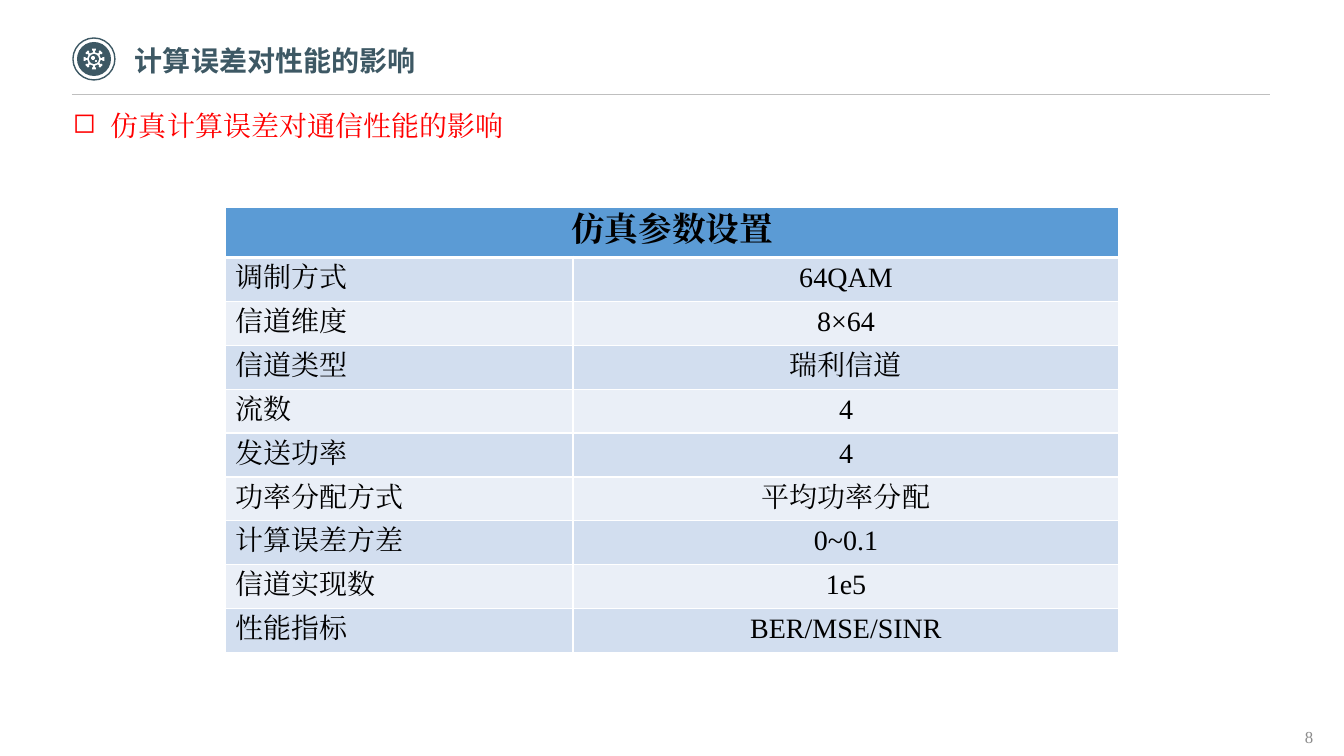
import math

import lxml.etree
import pptx
import pptx.dml.color
import pptx.enum.shapes
import pptx.enum.text
import pptx.oxml.ns
import pptx.util

RGB = pptx.dml.color.RGBColor
SLATE = RGB(0x3D, 0x58, 0x64)
WHITE = RGB(0xFF, 0xFF, 0xFF)
BLACK = RGB(0, 0, 0)
RED = RGB(0xFF, 0, 0)
RULE_GREY = RGB(0xBF, 0xBF, 0xBF)
NUMBER_GREY = RGB(0x8C, 0x8C, 0x8C)
HEADER_BLUE = RGB(0x5B, 0x9B, 0xD5)
BANDS = (RGB(0xD2, 0xDE, 0xEF), RGB(0xEA, 0xEF, 0xF7))

ALIGN = pptx.enum.text.PP_ALIGN
ANCHOR = pptx.enum.text.MSO_ANCHOR
OVAL = pptx.enum.shapes.MSO_SHAPE.OVAL
STRAIGHT = pptx.enum.shapes.MSO_CONNECTOR.STRAIGHT
SERIF = "Times New Roman"
SANS = "Noto Sans CJK SC"
SCALE = 12192000 / 1344

PARAMETERS = [
    ("调制方式", "64QAM"),
    ("信道维度", "8×64"),
    ("信道类型", "瑞利信道"),
    ("流数", "4"),
    ("发送功率", "4"),
    ("功率分配方式", "平均功率分配"),
    ("计算误差方差", "0~0.1"),
    ("信道实现数", "1e5"),
    ("性能指标", "BER/MSE/SINR"),
]
TOOTH = [(-8, 68), (-7, 85), (-12, 87), (-11, 105),
         (11, 105), (12, 87), (7, 85), (8, 68)]


def px(length):
    return pptx.util.Emu(round(length * SCALE))


def add_element(parent, tag, **attributes):
    return lxml.etree.SubElement(parent, pptx.oxml.ns.qn(tag), attributes)


class SlideBuilder:
    def __init__(self, slide):
        self.slide = slide

    def wording(self, paragraph, content, size, color, align=ALIGN.LEFT, bold=False, face=SERIF):
        paragraph.alignment = align
        run = paragraph.add_run()
        run.text = content
        formats = {"size": pptx.util.Pt(size), "bold": bold, "name": face}
        for name, value in formats.items():
            setattr(run.font, name, value)
        run.font.color.rgb = color
        add_element(run.font._element, "a:ea", typeface=face)

    def text(self, box, content, size, color, insets, anchor=ANCHOR.TOP,
             bullet=None, spacing=None, **style):
        frame = self.slide.shapes.add_textbox(*map(px, box)).text_frame
        left, top, right, bottom = map(px, insets)
        formats = {"word_wrap": True, "vertical_anchor": anchor, "margin_left": left,
                   "margin_top": top, "margin_right": right, "margin_bottom": bottom}
        for name, value in formats.items():
            setattr(frame, name, value)
        paragraph = frame.paragraphs[0]
        if bullet:
            properties = paragraph._p.get_or_add_pPr()
            properties.set("marL", str(px(38)))
            properties.set("indent", str(px(-38)))
            add_element(properties, "a:buChar", char=bullet)
        if spacing:
            paragraph.line_spacing = spacing
        self.wording(paragraph, content, size, color, **style)

    def paint(self, shape, fill=None, line=None):
        shape.shadow.inherit = False
        if fill is None:
            shape.fill.background()
        else:
            shape.fill.solid()
            shape.fill.fore_color.rgb = fill
        if line is None:
            shape.line.fill.background()
        else:
            shape.line.color.rgb = line
            shape.line.width = pptx.util.Pt(1)

    def disc(self, x, y, radius, fill=None, line=None):
        box = (x - radius, y - radius, 2 * radius, 2 * radius)
        self.paint(self.slide.shapes.add_shape(OVAL, *map(px, box)), fill, line)

    def gear(self, x, y, teeth, fill):
        points = []
        for tooth in range(teeth):
            for offset, radius in TOOTH:
                angle = math.radians(tooth * 360 / teeth + offset)
                points.append((round(10 * x + radius * math.cos(angle)),
                               round(10 * y + radius * math.sin(angle))))
        outline = self.slide.shapes.build_freeform(*points[0], scale=SCALE / 10)
        outline.add_line_segments(points[1:])
        self.paint(outline.convert_to_shape(), fill)

    def rule(self, left, right, y, color):
        rule = self.slide.shapes.add_connector(STRAIGHT, px(left), px(y), px(right), px(y))
        rule.line.color.rgb = color
        rule.line.width = pptx.util.Pt(0.5)
        add_element(rule._element.spPr, "a:effectLst")

    def cell(self, cell, fill, bottom=1):
        properties = cell._tc.get_or_add_tcPr()
        for side, width in (("L", 1), ("R", 1), ("T", 1), ("B", bottom)):
            border = add_element(properties, f"a:ln{side}", w=str(pptx.util.Pt(width)))
            add_element(add_element(border, "a:solidFill"), "a:srgbClr", val=str(WHITE))
        cell.fill.solid()
        cell.fill.fore_color.rgb = fill

    def table(self, left, top, widths, heading, rows):
        count = len(rows) + 1
        grid = self.slide.shapes.add_table(
            count, len(widths), px(left), px(top), px(sum(widths)), px(44 * count)).table
        for column, width in zip(grid.columns, widths):
            column.width = px(width)
        for index, row in enumerate(grid.rows):
            row.height = px((index + 1) * 131 // 3 - index * 131 // 3)
        for cell in grid.rows[0].cells:
            self.cell(cell, HEADER_BLUE, bottom=3)
        title = grid.cell(0, 0)
        title.merge(grid.cell(0, len(widths) - 1))
        self.wording(title.text_frame.paragraphs[0], heading, 24, BLACK, ALIGN.CENTER, True)
        for index, row in enumerate(rows):
            for column, (content, align) in enumerate(zip(row, (ALIGN.JUSTIFY, ALIGN.CENTER))):
                cell = grid.cell(index + 1, column)
                self.cell(cell, BANDS[index % 2])
                self.wording(cell.text_frame.paragraphs[0], content, 20, BLACK, align)


def main():
    deck = pptx.Presentation()
    deck.slide_width = px(1344)
    deck.slide_height = px(756)
    page = SlideBuilder(deck.slides.add_slide(deck.slide_layouts[6]))

    page.text((1295, 722, 48, 30), "8", 12, NUMBER_GREY, (10, 5, 0, 5), ANCHOR.MIDDLE)
    page.disc(94, 59, 21, line=SLATE)
    page.disc(94, 59, 17, fill=SLATE)
    page.gear(94, 59, 8, WHITE)
    page.disc(94, 59, 5, fill=SLATE)
    page.disc(93, 58, 2, fill=WHITE)
    page.disc(96, 61, 1, fill=WHITE)
    page.rule(72, 1270, 94, RULE_GREY)
    page.text((135, 38, 728, 44), "计算误差对性能的影响", 20, SLATE, (0, 5, 10, 5),
              ANCHOR.MIDDLE, bold=True, face=SANS)
    page.text((73, 93, 1198, 663), "仿真计算误差对通信性能的影响", 20, RED, (0, 5, 0, 5),
              bullet="◻", spacing=1.3, align=ALIGN.JUSTIFY)
    page.table(225, 207, (348, 546), "仿真参数设置", PARAMETERS)
    deck.save("out.pptx")


if __name__ == "__main__":
    main()
